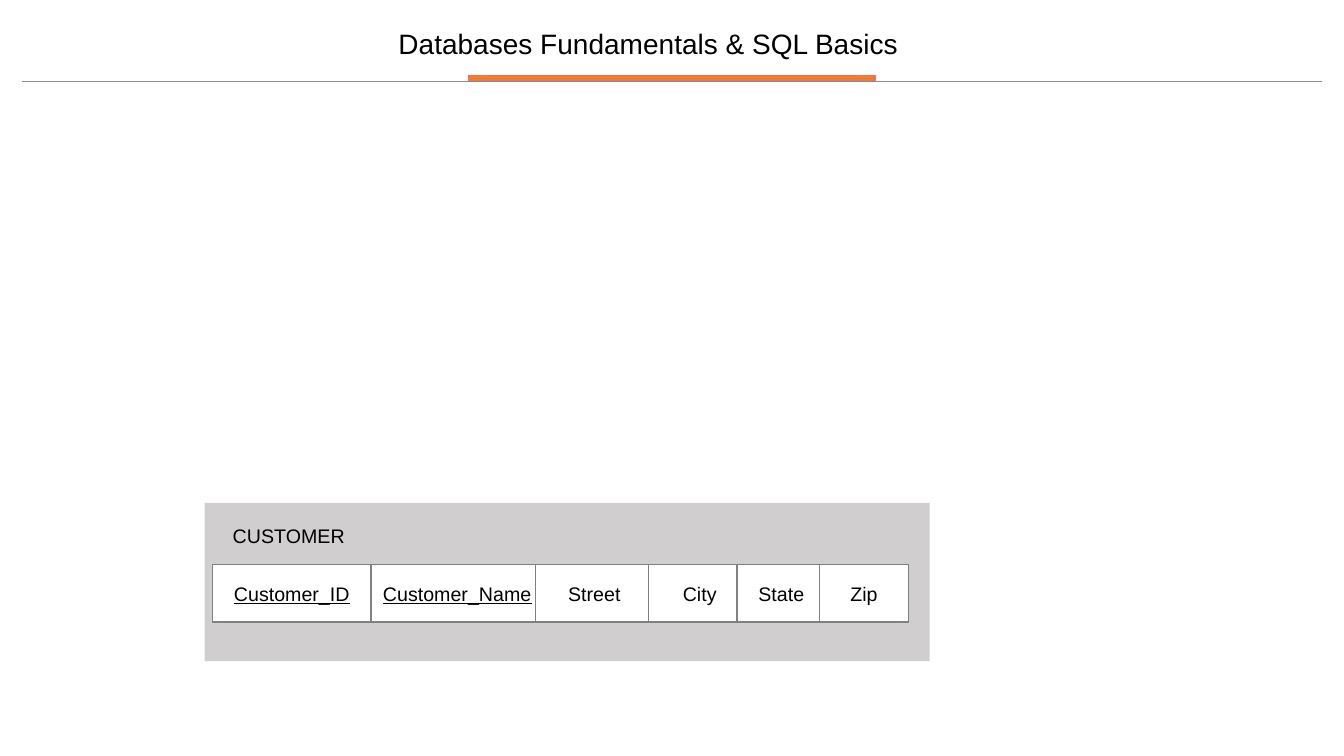
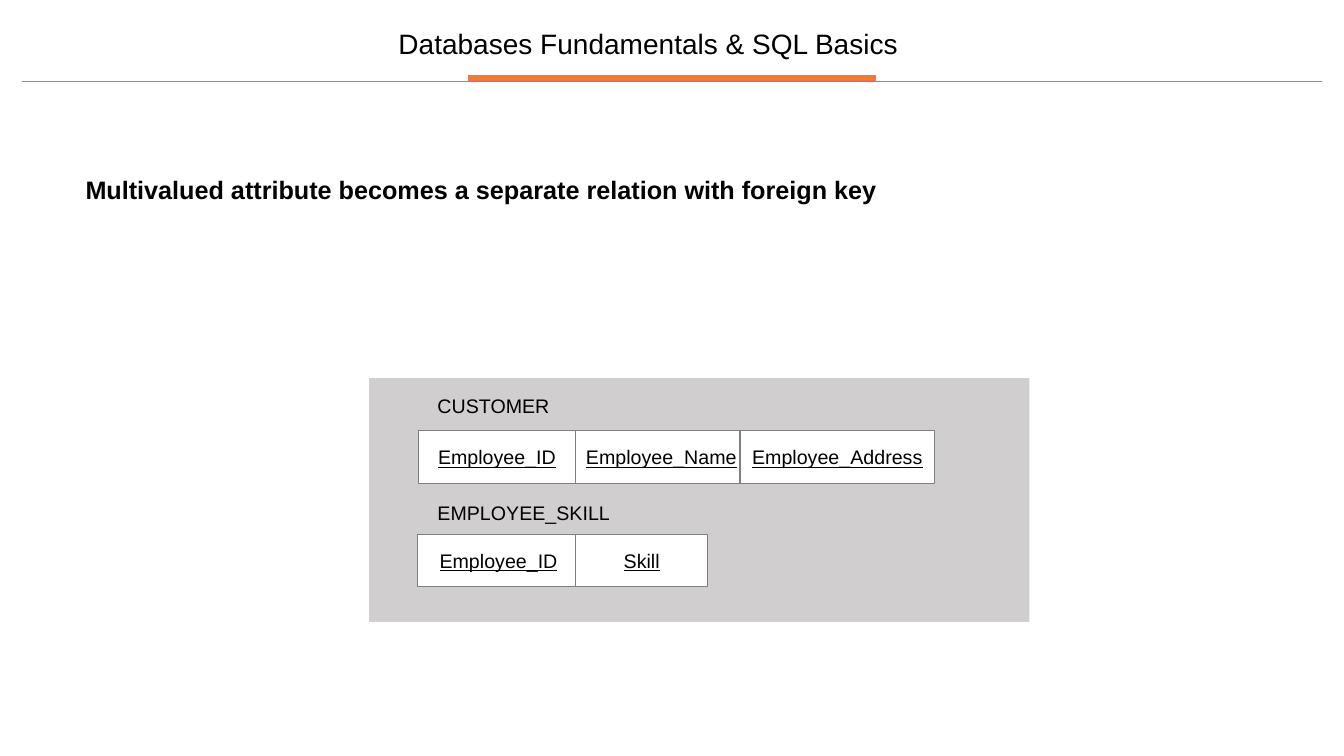
import pptx
import pptx.util
import pptx.dml.color
import pptx.enum.shapes
import pptx.enum.text
import pptx.oxml.ns
import lxml.etree

Inches, Pt = pptx.util.Inches, pptx.util.Pt
ALIGN = pptx.enum.text.PP_ALIGN
ANCHOR = pptx.enum.text.MSO_ANCHOR
RECTANGLE = pptx.enum.shapes.MSO_SHAPE.RECTANGLE

# Shared look
FONT = "Arial"
BLACK, WHITE = "000000", "FFFFFF"
ACCENT, ACCENT_EDGE = "ED7D31", "F46F4F"
RULE, PANEL, CELL_EDGE = "8C8C8C", "D0CECE", "808080"
TITLE = "Databases Fundamentals & SQL Basics"

# Content: lengths in inches; each attribute is (name, left, width, underlined)
SLIDES = [
    {
        "panel": (2.03, 4.99, 7.19, 1.57),
        "relations": [
            {"name": "CUSTOMER", "label": (2.21, 5.15, 1.57, 0.34),
             "top": 5.6, "height": 0.57,
             "attributes": [
                 ("Customer_ID", 2.11, 1.57, True),
                 ("Customer_Name", 3.68, 1.71, True),
                 ("Street", 5.31, 1.17, False),
                 ("City", 6.43, 1.02, False),
                 ("State", 7.31, 0.88, False),
                 ("Zip", 8.13, 0.88, False)]},
        ],
    },
    {
        "statement": "Multivalued attribute becomes a separate relation with foreign key",
        "panel": (3.66, 3.75, 6.55, 2.42),
        "relations": [
            {"name": "CUSTOMER", "label": (4.24, 3.86, 1.56, 0.34),
             "top": 4.27, "height": 0.53,
             "attributes": [
                 ("Employee_ID", 4.15, 1.56, True),
                 ("Employee_Name", 5.71, 1.7, True),
                 ("Employee_Address", 7.34, 1.93, True)]},
            {"name": "EMPLOYEE_SKILL", "label": (4.24, 4.92, 2.48, 0.34),
             "top": 5.3, "height": 0.52,
             "attributes": [
                 ("Employee_ID", 4.14, 1.61, True),
                 ("Skill", 5.71, 1.31, True)]},
        ],
    },
]


def color(value):
    return pptx.dml.color.RGBColor.from_string(value)


def inches(box):
    return [Inches(length) for length in box]


def write(shape, text, size, align=ALIGN.LEFT, bold=False, underline=False):
    frame = shape.text_frame
    frame.text = text
    paragraph = frame.paragraphs[0]
    paragraph.alignment = align
    font = paragraph.runs[0].font
    font.name, font.size = FONT, Pt(size)
    font.bold, font.underline = bold, underline
    font.color.rgb = color(BLACK)
    return frame


def add_rectangle(shapes, box, fill, edge=None):
    rectangle = shapes.add_shape(RECTANGLE, *inches(box))
    rectangle.shadow.inherit = False
    rectangle.fill.solid()
    rectangle.fill.fore_color.rgb = color(fill)
    if edge:
        rectangle.line.color.rgb = color(edge)
        rectangle.line.width = Pt(1)
    else:
        rectangle.line.fill.background()
    return rectangle


def add_label(shapes, box, text, size, bold=False, wrap=True):
    label = shapes.add_textbox(*inches(box))
    write(label, text, size, bold=bold).word_wrap = wrap


def add_header(slide):
    # Thin rule with an accent bar above it
    rule = slide.shapes.add_connector(
        pptx.enum.shapes.MSO_CONNECTOR.STRAIGHT, *inches((0.22, 0.81, 13.11, 0.81)))
    rule.line.color.rgb = color(RULE)
    rule.line.width = Pt(0.75)
    lxml.etree.SubElement(rule._element.spPr, pptx.oxml.ns.qn("a:effectLst"))
    add_rectangle(slide.shapes, (4.65, 0.75, 4.03, 0.05), ACCENT, ACCENT_EDGE)

    # Title
    title = slide.shapes.title
    title.left, title.top, title.width, title.height = inches((3.75, 0.26, 5.36, 0.38))
    frame = write(title, TITLE, 20, ALIGN.CENTER)
    frame.auto_size = pptx.enum.text.MSO_AUTO_SIZE.NONE
    frame.vertical_anchor = ANCHOR.MIDDLE
    frame.paragraphs[0].line_spacing = 0.9


def add_relation(shapes, relation):
    add_label(shapes, relation["label"], relation["name"], 14)
    for name, left, width, underlined in relation["attributes"]:
        box = (left, relation["top"], width, relation["height"])
        cell = add_rectangle(shapes, box, WHITE, CELL_EDGE)
        frame = write(cell, name, 14, ALIGN.CENTER, underline=underlined)
        frame.vertical_anchor = ANCHOR.MIDDLE
        frame.word_wrap = False


def main():
    deck = pptx.Presentation()
    deck.slide_width, deck.slide_height = Inches(13.33), Inches(7.5)
    for content in SLIDES:
        slide = deck.slides.add_slide(deck.slide_layouts[5])
        add_header(slide)
        # Schema diagram
        schema = slide.shapes.add_group_shape().shapes
        add_rectangle(schema, content["panel"], PANEL)
        for relation in content["relations"]:
            add_relation(schema, relation)
        if "statement" in content:
            add_label(slide.shapes, (0.75, 1.68, 8.13, 0.4),
                      content["statement"], 18, bold=True, wrap=False)
    deck.save("out.pptx")


if __name__ == "__main__":
    main()
